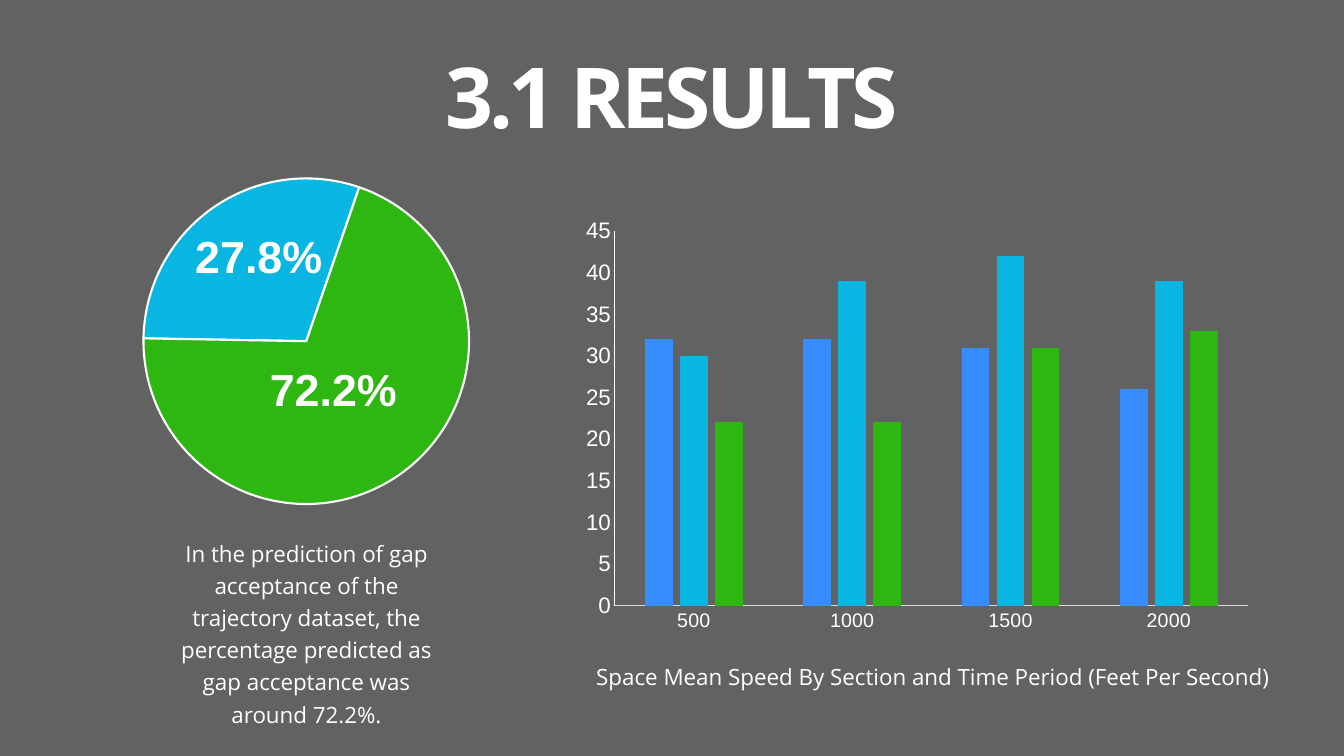
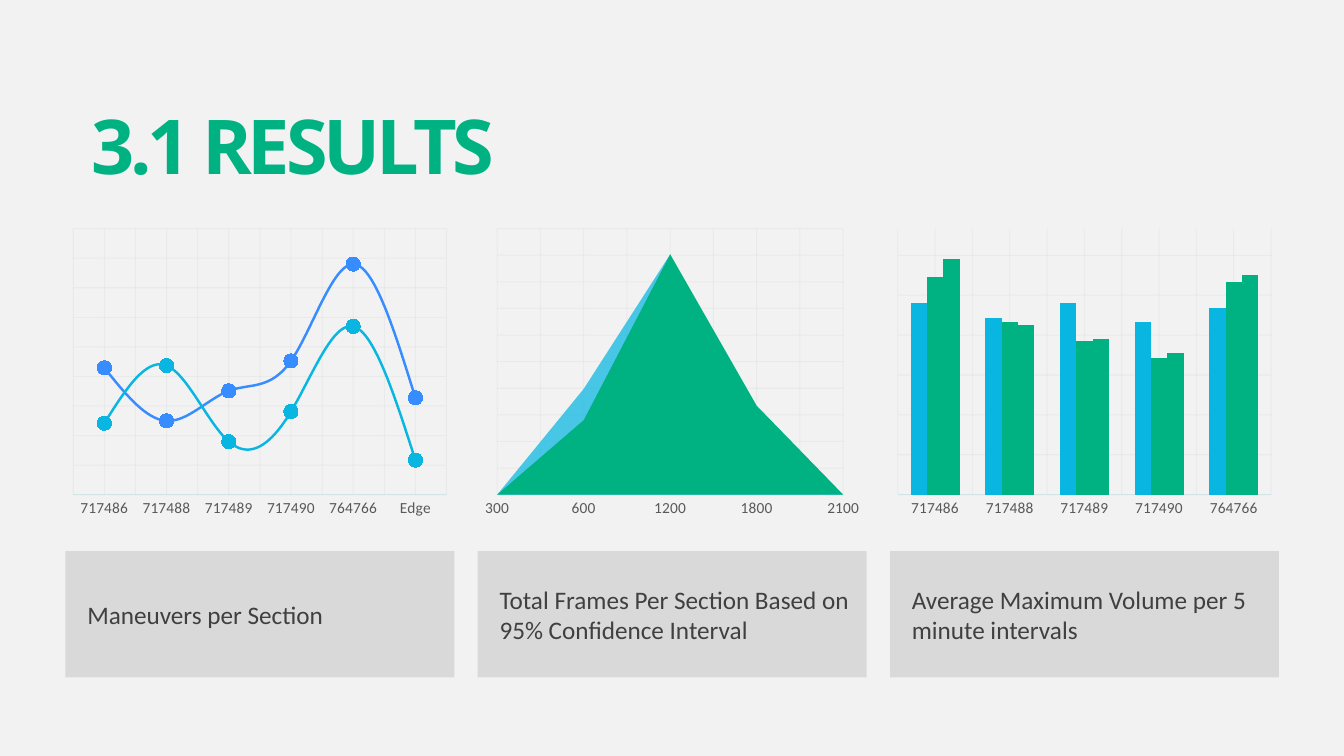
import copy
import dataclasses

import pptx
import pptx.chart.data
import pptx.dml.color
import pptx.enum.chart
import pptx.enum.shapes
import pptx.enum.text
import pptx.oxml.ns
import pptx.oxml.xmlchemy
import pptx.util
from pptx.util import Cm

Align = pptx.enum.text.PP_ALIGN
ChartType = pptx.enum.chart.XL_CHART_TYPE
qn = pptx.oxml.ns.qn


@dataclasses.dataclass(frozen=True)
class Theme:
    white: str = "FFFFFF"
    light: str = "F2F2F2"
    panel: str = "D9D9D9"
    dark: str = "404040"
    label: str = "595959"
    grid: str = "A6A6A6"
    blue: str = "378DFF"
    cyan: str = "09B6E1"
    lime: str = "2EB611"
    green: str = "00B282"
    heading_font: str = "Open Sans"
    body_font: str = "Calibri"
    figure_font: str = "Arial"
    cover_title: float = 60
    title: float = 54
    figure: float = 32
    card: float = 18
    body: float = 16
    category: float = 14
    small: float = 11
    chart: float = 10


THEME = Theme()


def rgb(value):
    return pptx.dml.color.RGBColor.from_string(value)


def make_element(tag, value=None):
    element = pptx.oxml.xmlchemy.OxmlElement(tag)
    if value is not None:
        element.set("val", str(value))
    return element


def style_font(font, face, size, color, bold=False):
    font.name = face
    font.size = pptx.util.Pt(size)
    font.color.rgb = rgb(color)
    font.bold = bold


def fade(element, percent):
    for color in element.iter(qn("a:srgbClr")):
        color.append(make_element("a:alpha", percent * 1000))


def add_span(para, text, face, size, color, bold=False):
    span = para.add_run()
    span.text = text
    style_font(span.font, face, size, color, bold)
    return span


def add_text(page, area, text, face, size, color, bold=False,
             align=Align.LEFT, wrap=True, spacing=None):
    box = page.shapes.add_textbox(*map(Cm, area))
    frame = box.text_frame
    frame.word_wrap = wrap
    frame.auto_size = pptx.enum.text.MSO_AUTO_SIZE.SHAPE_TO_FIT_TEXT
    para = frame.paragraphs[0]
    para.alignment = align
    if spacing:
        para.line_spacing = spacing
    return add_span(para, text, face, size, color, bold)


def add_title(page, area, size, color, align=Align.LEFT):
    span = add_text(page, area, "3.1 RESULTS", THEME.heading_font, size,
                    color, bold=True, align=align)
    span.font._element.set("spc", "-300")


def add_caption(page, area, text):
    add_text(page, area, text, THEME.heading_font, THEME.body, THEME.white,
             align=Align.CENTER, spacing=1.2)


def add_block(page, preset, area, color):
    block = page.shapes.add_shape(preset, *map(Cm, area))
    block.shadow.inherit = False
    block.fill.solid()
    block.fill.fore_color.rgb = rgb(color)
    block.line.fill.background()
    return block


def add_panel(page, area, text):
    panel = add_block(page, pptx.enum.shapes.MSO_SHAPE.RECTANGLE, area,
                      THEME.panel)
    frame = panel.text_frame
    frame.word_wrap = True
    frame.vertical_anchor = pptx.enum.text.MSO_ANCHOR.MIDDLE
    para = frame.paragraphs[0]
    para.alignment = Align.LEFT
    para._p.get_or_add_pPr().set("marL", str(int(Cm(0.3))))
    add_span(para, text, THEME.body_font, THEME.card, THEME.dark)


def place_plot(chart, bounds):
    plot_area = chart._chartSpace.chart.plotArea
    for old in plot_area.findall(qn("c:layout")):
        plot_area.remove(old)
    layout = make_element("c:layout")
    manual = make_element("c:manualLayout")
    layout.append(manual)
    settings = [("layoutTarget", "inner"), ("xMode", "edge"),
                ("yMode", "edge"), *zip("xywh", bounds)]
    for name, value in settings:
        manual.append(make_element("c:" + name, value))
    plot_area.insert(0, layout)


def add_chart(page, kind, area, bounds, categories, rows):
    data = pptx.chart.data.CategoryChartData()
    data.categories = categories
    for number, values in enumerate(rows, 1):
        data.add_series(f"Series {number}", values)
    chart = page.shapes.add_chart(kind, *map(Cm, area), data).chart
    chart.has_title = False
    chart.has_legend = False
    style_font(chart.font, THEME.body_font, THEME.chart, THEME.label)
    chart.plots[0].vary_by_categories = False
    place_plot(chart, bounds)
    return chart


def style_line(line, color, width=0.75):
    line.color.rgb = rgb(color)
    line.width = pptx.util.Pt(width)


def fill_series(chart, colors):
    for series, color in zip(chart.plots[0].series, colors):
        series.format.fill.solid()
        series.format.fill.fore_color.rgb = rgb(color)


def set_scale(axis, step, count):
    axis.minimum_scale = 0
    axis.maximum_scale = round(step * count, 2)
    axis.major_unit = step


def remove_ticks(axis):
    axis.major_tick_mark = pptx.enum.chart.XL_TICK_MARK.NONE
    axis.minor_tick_mark = pptx.enum.chart.XL_TICK_MARK.NONE


def style_faint_axes(chart, step, count):
    for axis in (chart.category_axis, chart.value_axis):
        remove_ticks(axis)
        axis.has_major_gridlines = True
        style_line(axis.major_gridlines.format.line, THEME.grid)
        style_line(axis.format.line, THEME.cyan)
        fade(axis._element, 10)
    category = chart.category_axis
    category.has_minor_gridlines = True
    major = category._element.find(qn("c:majorGridlines"))
    minor = category._element.find(qn("c:minorGridlines"))
    minor.append(copy.deepcopy(major[0]))
    style_font(category.tick_labels.font, THEME.body_font, THEME.small,
               THEME.label)
    set_scale(chart.value_axis, step, count)
    chart.value_axis.visible = False


def add_speed_chart(page):
    chart = add_chart(page, ChartType.COLUMN_CLUSTERED,
                      (14.45, 5.28, 17.35, 10.85), (0.06, 0.05, 0.92, 0.87),
                      ["500", "1000", "1500", "2000"],
                      [(32, 32, 31, 26), (30, 39, 42, 39), (22, 22, 31, 33)])
    fill_series(chart, (THEME.blue, THEME.cyan, THEME.lime))
    chart.plots[0].gap_width = 219
    chart.plots[0].overlap = -27
    axes = ((chart.category_axis, THEME.category, THEME.panel),
            (chart.value_axis, THEME.body, THEME.white))
    for axis, size, color in axes:
        remove_ticks(axis)
        axis.has_major_gridlines = False
        style_line(axis.format.line, color)
        style_font(axis.tick_labels.font, THEME.figure_font, size, THEME.white)
    set_scale(chart.value_axis, 5, 9)


def add_acceptance_pie(page):
    chart = add_chart(page, ChartType.PIE, (2.26, 4.14, 10.92, 8.92),
                      (0.12, 0.04, 0.76, 0.92), ["1", "2"], [(30, 70)])
    plot = chart.plots[0]
    for index, color in enumerate((THEME.cyan, THEME.lime)):
        piece = plot.series[0].points[index].format
        piece.fill.solid()
        piece.fill.fore_color.rgb = rgb(color)
        style_line(piece.line, THEME.white, 1.5)
    plot._element.append(make_element("c:firstSliceAng", 271))


def add_maneuver_chart(page, area):
    chart = add_chart(page, ChartType.LINE_MARKERS, area,
                      (0.02, 0.02, 0.96, 0.88),
                      ["717486", "717488", "717489", "717490", "764766", "Edge"],
                      [(55, 32, 45, 58, 100, 42), (31, 56, 23, 36, 73, 15)])
    for series, color in zip(chart.plots[0].series, (THEME.blue, THEME.cyan)):
        series.smooth = True
        style_line(series.format.line, color, 1.75)
        marker = series.marker
        marker.style = pptx.enum.chart.XL_MARKER_STYLE.CIRCLE
        marker.size = 10
        marker.format.fill.solid()
        marker.format.fill.fore_color.rgb = rgb(color)
        style_line(marker.format.line, color)
    style_faint_axes(chart, 12.82, 9)


def add_frames_chart(page, area):
    chart = add_chart(page, ChartType.AREA, area, (0.05, 0.02, 0.89, 0.88),
                      ["300", "600", "1200", "1800", "2100"],
                      [(0, 31, 100, 37, 0), (0, 44, 100, 13, 0)])
    fill_series(chart, (THEME.green, THEME.cyan))
    fade(chart.plots[0].series[1]._element, 73)
    style_faint_axes(chart, 11.07, 10)


def add_volume_chart(page, area):
    chart = add_chart(page, ChartType.COLUMN_CLUSTERED, area,
                      (0.02, 0.02, 0.96, 0.88),
                      ["717486", "717488", "717489", "717490", "764766"],
                      [(81, 75, 81, 73, 79), (92, 73, 65, 58, 90),
                       (100, 72, 66, 60, 93)])
    fill_series(chart, (THEME.cyan, THEME.green, THEME.green))
    chart.plots[0].gap_width = 157
    chart.plots[0].overlap = 0
    style_faint_axes(chart, 16.89, 6.67)


def add_page(deck, color):
    page = deck.slides.add_slide(deck.slide_layouts[6])
    page.background.fill.solid()
    page.background.fill.fore_color.rgb = rgb(color)
    return page


def build_prediction_page(deck):
    page = add_page(deck, THEME.white)
    veil = add_block(page, pptx.enum.shapes.MSO_SHAPE.FLOWCHART_PROCESS,
                     (0, 0, 33.87, 19.05), THEME.dark)
    fade(veil._element, 82)
    add_title(page, (1.7, 1, 30.45, 2.82), THEME.cover_title, THEME.white,
              Align.CENTER)
    add_speed_chart(page)
    add_acceptance_pie(page)
    for left, top, share in ((4.67, 5.64, "27.8%"), (6.55, 8.99, "72.2%")):
        add_text(page, (left, top, 3.73, 1.63), share, THEME.figure_font,
                 THEME.figure, THEME.white, bold=True, wrap=False)
    add_caption(page, (3.99, 13.34, 7.47, 4.37),
                "In the prediction of gap acceptance of the trajectory dataset, "
                "the percentage predicted as gap acceptance was around 72.2%.")
    add_caption(page, (14.15, 16.46, 18.72, 0.99),
                "Space Mean Speed By Section and Time Period (Feet Per Second)")


def build_sections_page(deck):
    page = add_page(deck, THEME.light)
    add_title(page, (2.06, 2.36, 29.82, 2.57), THEME.title, THEME.green)
    cards = (
        ("Maneuvers per Section", add_maneuver_chart),
        ("Total Frames Per Section Based on 95% Confidence Interval",
         add_frames_chart),
        ("Average Maximum Volume per 5 minute intervals", add_volume_chart),
    )
    for index, (text, draw_chart) in enumerate(cards):
        left = 1.65 + index * 10.39
        add_panel(page, (left, 13.89, 9.8, 3.18), text)
        draw_chart(page, (left, 5.61, 9.8, 7.62))


def main():
    deck = pptx.Presentation()
    deck.slide_width = Cm(33.87)
    deck.slide_height = Cm(19.05)
    build_prediction_page(deck)
    build_sections_page(deck)
    deck.save("out.pptx")


if __name__ == "__main__":
    main()
